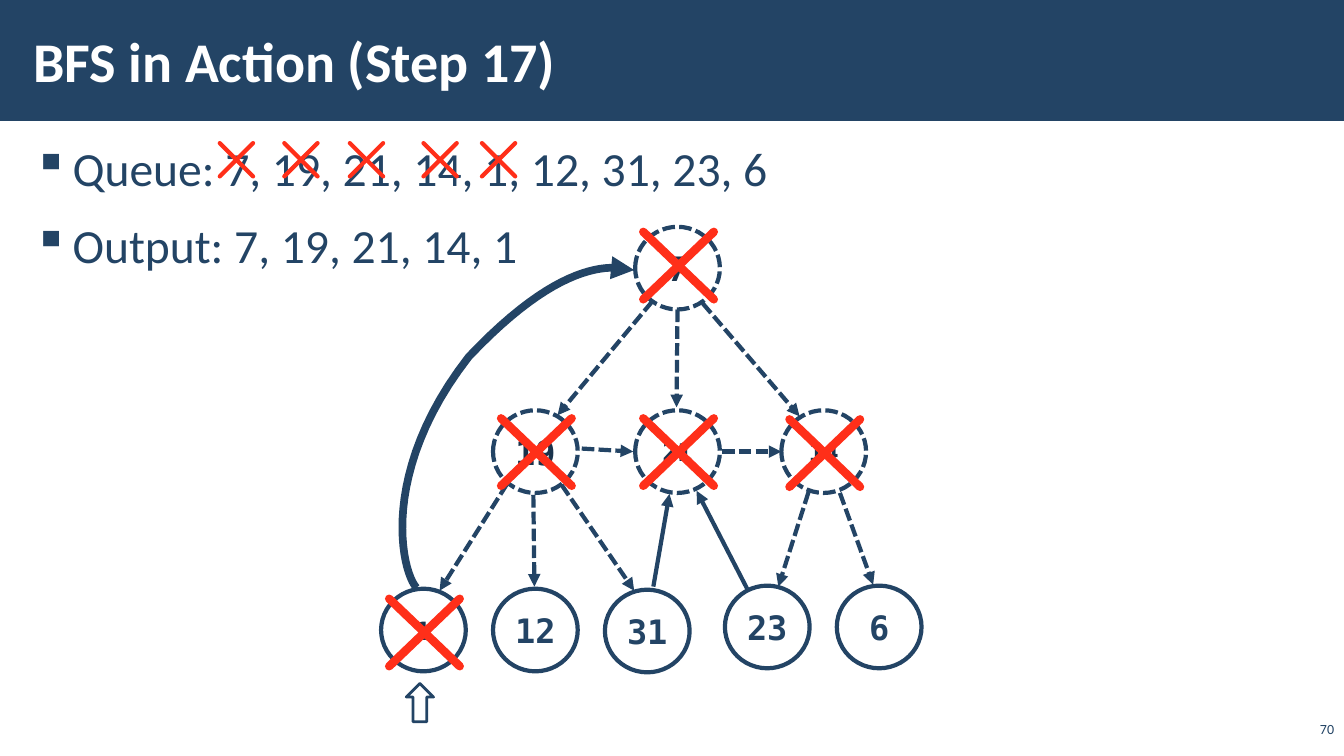
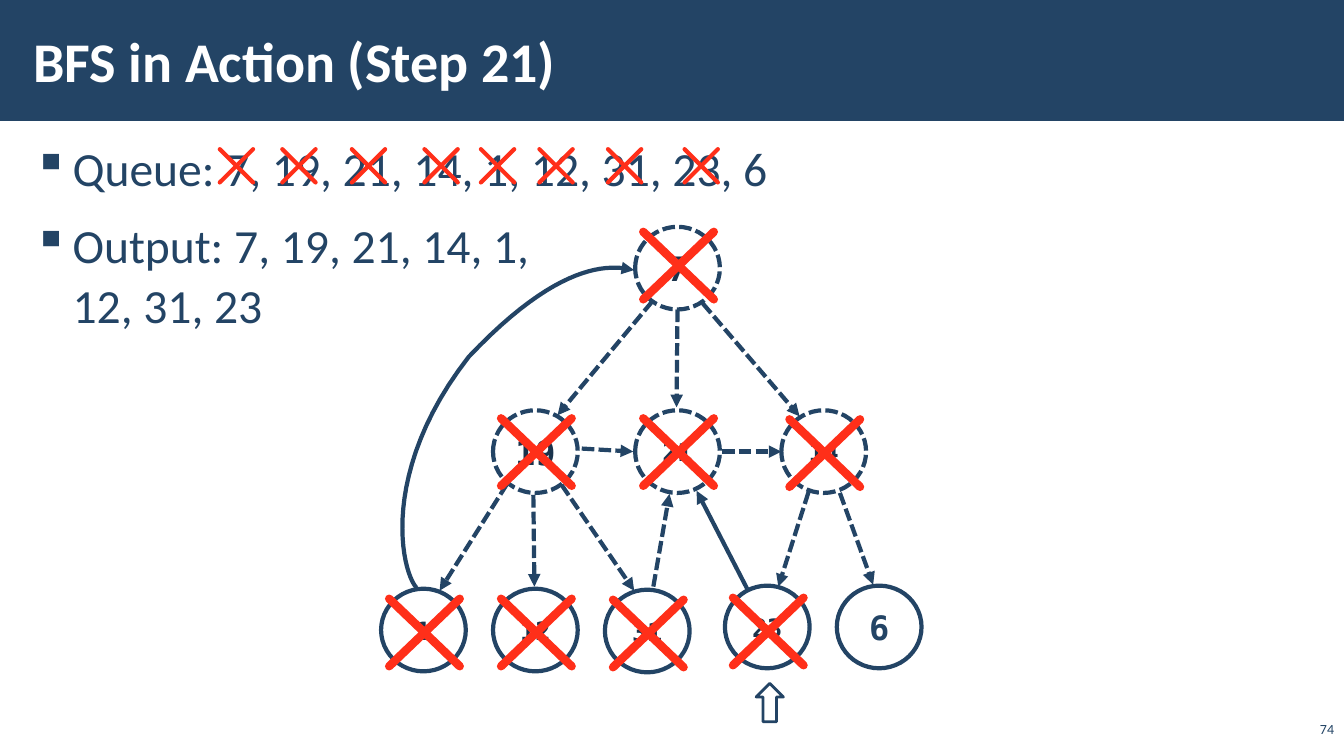
from dataclasses import dataclass
from typing import Any

from pptx import Presentation
from pptx.dml.color import RGBColor
from pptx.enum.dml import MSO_LINE_DASH_STYLE
from pptx.enum.shapes import MSO_CONNECTOR, MSO_SHAPE
from pptx.enum.text import MSO_ANCHOR, PP_ALIGN
from pptx.oxml.ns import qn
from pptx.util import Inches, Pt
from lxml import etree

STRAIGHT = MSO_CONNECTOR.STRAIGHT
RECTANGLE, OVAL, UP_ARROW = MSO_SHAPE.RECTANGLE, MSO_SHAPE.OVAL, MSO_SHAPE.UP_ARROW
SHORT_DASH = MSO_LINE_DASH_STYLE.SQUARE_DOT
TOP, MIDDLE, BOTTOM = MSO_ANCHOR.TOP, MSO_ANCHOR.MIDDLE, MSO_ANCHOR.BOTTOM
LEFT, CENTER, RIGHT = PP_ALIGN.LEFT, PP_ALIGN.CENTER, PP_ALIGN.RIGHT

Point = tuple[float, float]
Box = tuple[float, float, float, float]


@dataclass(frozen=True)
class Theme:
    navy: RGBColor = RGBColor(0x23, 0x44, 0x65)
    visited_ink: RGBColor = RGBColor(0x1A, 0x33, 0x4C)
    red: RGBColor = RGBColor(0xFF, 0x2F, 0x19)
    white: RGBColor = RGBColor(0xFF, 0xFF, 0xFF)
    font: str = "Calibri"
    node_font: str = "DejaVu Sans Mono"
    title_size: float = 40
    body_size: float = 34
    node_size: float = 24
    page_size: float = 10
    line: float = 3
    pointer_line: float = 2
    node_cross_line: float = 6


THEME = Theme()


@dataclass(frozen=True)
class Node:
    label: str
    left: float
    top: float
    cross_drop: float
    dashed: bool = False
    visited_size: float = 18


@dataclass(frozen=True)
class Edge:
    name: str
    start: Point
    end: Point


@dataclass(frozen=True)
class Step:
    number: int
    page: int
    output: str
    visited: tuple[str, ...]
    strike_lefts: tuple[float, ...]
    strike_top: float
    pointer_left: float
    solid_edges: tuple[str, ...]
    back_edge_width: float


NODE_WIDTH, NODE_HEIGHT = 0.84, 0.82
CROSS_WIDTH, CROSS_HEIGHT = 0.70, 0.67
STRIKE_SIZE = 0.33
POINTER_TOP = 6.78
QUEUE = "Queue: 7, 19, 21, 14, 1, 12, 31, 23, 6"

NODES = (
    Node("7", 6.30, 2.25, 0.05, True, 24),
    Node("19", 4.89, 4.07, 0.08, True, 24),
    Node("21", 6.30, 4.07, 0.08, True),
    Node("14", 7.75, 4.07, 0.09, True),
    Node("1", 3.78, 5.84, 0.10),
    Node("12", 4.89, 5.84, 0.10),
    Node("31", 6.00, 5.85, 0.10),
    Node("23", 7.19, 5.81, 0.12),
    Node("6", 8.30, 5.81, 0.10),
)

EDGES = (
    Edge("7-19", (6.47, 2.99), (5.53, 4.12)),
    Edge("7-21", (6.72, 3.07), (6.71, 4.04)),
    Edge("7-14", (6.97, 3.01), (7.93, 4.13)),
    Edge("19-21", (5.77, 4.45), (6.28, 4.48)),
    Edge("21-14", (7.16, 4.48), (7.75, 4.48)),
    Edge("19-1", (5.03, 4.80), (4.36, 5.86)),
    Edge("19-12", (5.29, 4.91), (5.30, 5.82)),
    Edge("19-31", (5.57, 4.81), (6.29, 5.86)),
    Edge("14-23", (8.02, 4.88), (7.72, 5.82)),
    Edge("14-6", (8.33, 4.89), (8.66, 5.80)),
    Edge("31-21", (6.48, 5.82), (6.64, 4.90)),
    Edge("23-21", (7.41, 5.84), (6.91, 4.87)),
)

# Bezier curves of the edge from node 1 back to the root
BACK_EDGE: tuple[tuple[Point, ...], ...] = (
    ((4.13, 5.83), (3.98, 5.66), (3.76, 4.68), (4.65, 3.54)),
    ((4.65, 3.54), (5.54, 2.60), (6.04, 2.62), (6.29, 2.68)),
)

STEPS = (
    Step(17, 70, "Output: 7, 19, 21, 14, 1",
         ("7", "19", "21", "14", "1"),
         (2.18, 2.82, 3.47, 4.20, 4.78), 1.42, 4.03,
         ("31-21", "23-21"), 5.5),
    Step(21, 74, "Output: 7, 19, 21, 14, 1,\v12, 31, 23",
         ("7", "19", "21", "14", "1", "12", "31", "23"),
         (2.18, 2.80, 3.49, 4.21, 4.77, 5.35, 6.03, 6.79), 1.48, 7.50,
         ("23-21",), 3),
)


def style_line(shape: Any, color: RGBColor, width: float, dashed: bool = False,
               arrow: bool = False, round_cap: bool = False) -> None:
    line = shape.line
    line.color.rgb = color
    line.width = Pt(width)
    if dashed:
        line.dash_style = SHORT_DASH
    ln = shape._element.spPr.find(qn("a:ln"))
    if round_cap:
        ln.set("cap", "rnd")
    if arrow:
        etree.SubElement(ln, qn("a:tailEnd"), type="triangle")


def add_line(slide: Any, start: Point, end: Point, color: RGBColor, width: float,
             **style: bool) -> None:
    connector = slide.shapes.add_connector(
        STRAIGHT, *(Inches(value) for value in (*start, *end)))
    style_line(connector, color, width, **style)
    etree.SubElement(connector._element.spPr, qn("a:effectLst"))


def add_cross(slide: Any, box: Box, width: float) -> None:
    left, top, across, down = box
    right, bottom = left + across, top + down
    for start, end in (((left, top), (right, bottom)), ((right, top), (left, bottom))):
        add_line(slide, start, end, THEME.red, width, round_cap=True)


def add_filled_shape(slide: Any, kind: Any, box: Box, fill: RGBColor,
                     opacity: int = 100) -> Any:
    shape = slide.shapes.add_shape(kind, *(Inches(value) for value in box))
    shape.shadow.inherit = False
    shape.fill.solid()
    shape.fill.fore_color.rgb = fill
    if opacity < 100:
        color = shape._element.spPr.find(qn("a:solidFill")).find(qn("a:srgbClr"))
        etree.SubElement(color, qn("a:alpha"), val=str(opacity * 1000))
    return shape


def set_font(paragraph: Any, name: str, size: float, color: RGBColor,
             bold: bool = False) -> None:
    font = paragraph.font
    font.name, font.size, font.bold = name, Pt(size), bold
    font.color.rgb = color


def add_text(slide: Any, box: Box, lines: tuple[str, ...], size: float,
             color: RGBColor, anchor: Any, align: Any = LEFT, bold: bool = False,
             insets: Point = (0.12, 0.04)) -> Any:
    frame = slide.shapes.add_textbox(*(Inches(value) for value in box)).text_frame
    frame.word_wrap = True
    frame.vertical_anchor = anchor
    frame.margin_left = frame.margin_right = Inches(insets[0])
    frame.margin_top = frame.margin_bottom = Inches(insets[1])
    for index, line in enumerate(lines):
        paragraph = frame.paragraphs[0] if index == 0 else frame.add_paragraph()
        paragraph.text = line
        paragraph.alignment = align
        set_font(paragraph, THEME.font, size, color, bold)
    return frame


def add_bullet(paragraph: Any) -> None:
    paragraph.line_spacing = 1.05
    paragraph.space_before = paragraph.space_after = Pt(6)
    properties = paragraph._p.get_or_add_pPr()
    properties.set("marL", str(Inches(0.39)))
    properties.set("indent", str(-Inches(0.39)))
    bullet = etree.Element(qn("a:buChar"), char="▪")
    properties.find(qn("a:defRPr")).addprevious(bullet)


def add_frame(slide: Any, step: Step) -> None:
    """Draw the title band, the title and the page number."""
    band = add_filled_shape(slide, RECTANGLE, (0, 0, 13.34, 1.2), THEME.navy)
    band.line.fill.background()
    add_text(slide, (0.21, 0.11, 10.63, 0.97), (f"BFS in Action (Step {step.number})",),
             THEME.title_size, THEME.white, MIDDLE, bold=True)
    add_text(slide, (12.86, 7.14, 0.47, 0.22), (str(step.page),), THEME.page_size,
             THEME.navy, BOTTOM, RIGHT, insets=(0.1, 0.05))


def add_node(slide: Any, node: Node, visited: bool) -> None:
    circle = add_filled_shape(slide, OVAL, (node.left, node.top, NODE_WIDTH, NODE_HEIGHT),
                              THEME.white, 70 if visited else 50)
    style_line(circle, THEME.navy, THEME.line, dashed=node.dashed)
    frame = circle.text_frame
    frame.word_wrap = False
    frame.vertical_anchor = MIDDLE
    label = frame.paragraphs[0]
    label.text = node.label
    label.alignment = CENTER
    set_font(label, THEME.node_font, node.visited_size if visited else THEME.node_size,
             THEME.visited_ink if visited else THEME.navy, bold=True)
    if visited:
        add_cross(slide, (node.left + 0.08, node.top + node.cross_drop,
                          CROSS_WIDTH, CROSS_HEIGHT), THEME.node_cross_line)


def bezier_point(curve: tuple[Point, ...], t: float) -> Point:
    weights = ((1 - t) ** 3, 3 * t * (1 - t) ** 2, 3 * t ** 2 * (1 - t), t ** 3)
    x, y = (sum(w * point[axis] for w, point in zip(weights, curve)) for axis in (0, 1))
    return x, y


def add_back_edge(slide: Any, width: float, samples: int = 24) -> None:
    points = [bezier_point(curve, i / samples)
              for curve in BACK_EDGE for i in range(1, samples + 1)]
    start_x, start_y = BACK_EDGE[0][0]
    builder = slide.shapes.build_freeform(Inches(start_x), Inches(start_y))
    builder.add_line_segments([(Inches(x), Inches(y)) for x, y in points], close=False)
    arrow = builder.convert_to_shape()
    arrow.shadow.inherit = False
    arrow.fill.background()
    style_line(arrow, THEME.navy, width, arrow=True)


def add_step(slide: Any, step: Step) -> None:
    add_frame(slide, step)
    body = add_text(slide, (0.21, 1.31, 12.92, 6.05), (QUEUE, step.output),
                    THEME.body_size, THEME.navy, TOP)
    for paragraph in body.paragraphs:
        add_bullet(paragraph)
    for left in step.strike_lefts:
        add_cross(slide, (left, step.strike_top, STRIKE_SIZE, STRIKE_SIZE), THEME.line)
    for edge in EDGES:
        add_line(slide, edge.start, edge.end, THEME.navy, THEME.line,
                 dashed=edge.name not in step.solid_edges, arrow=True)
    add_back_edge(slide, step.back_edge_width)
    for node in NODES:
        add_node(slide, node, node.label in step.visited)
    pointer = add_filled_shape(slide, UP_ARROW, (step.pointer_left, POINTER_TOP, 0.27, 0.38),
                               THEME.white, 50)
    style_line(pointer, THEME.navy, THEME.pointer_line)


def main() -> None:
    deck = Presentation()
    deck.slide_width, deck.slide_height = Inches(13.33), Inches(7.5)
    blank = deck.slide_layouts[6]
    for step in STEPS:
        add_step(deck.slides.add_slide(blank), step)
    deck.save("out.pptx")


if __name__ == "__main__":
    main()
